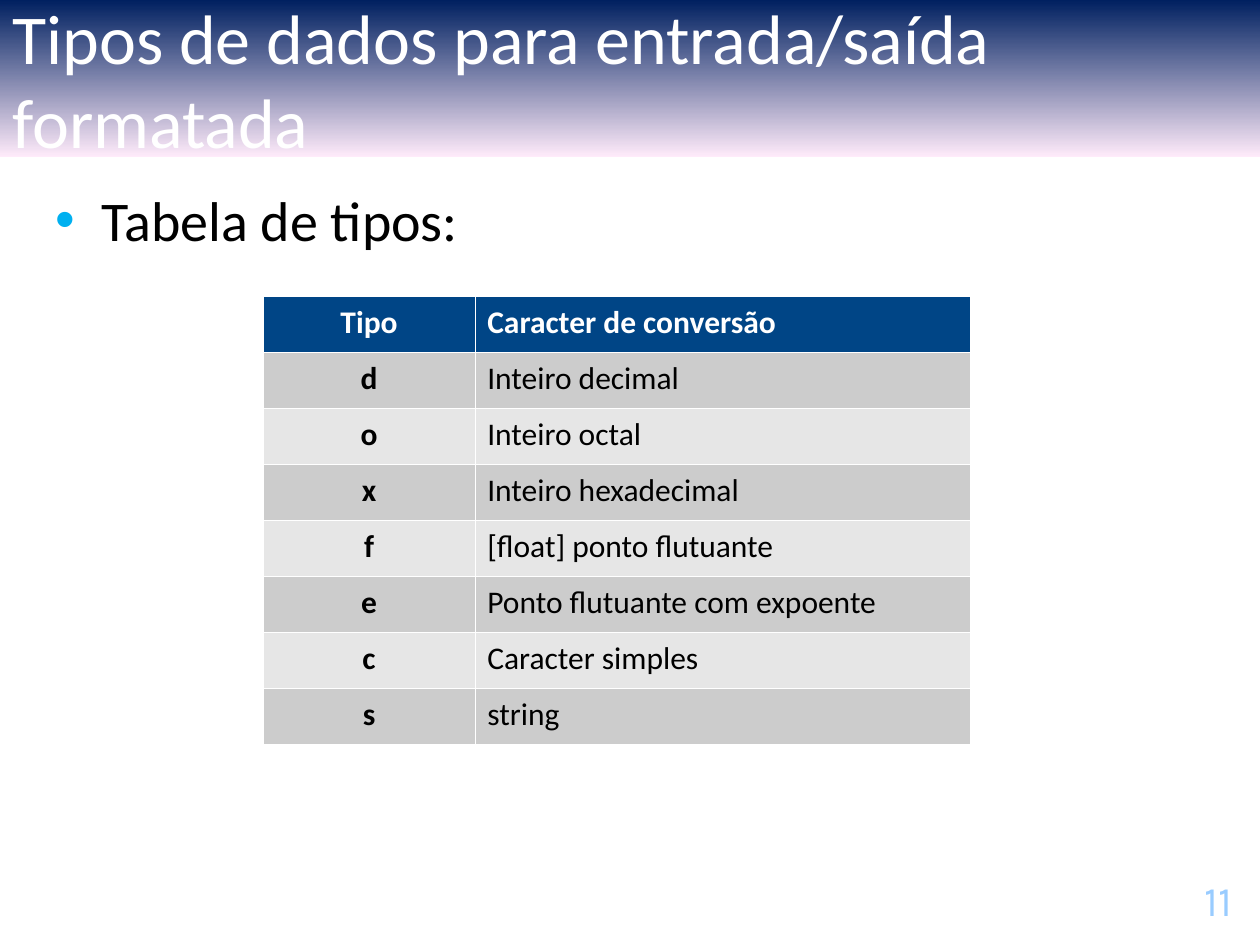
from dataclasses import dataclass

from pptx import Presentation, util as u
from pptx.dml.color import RGBColor
from pptx.enum import shapes, text
from pptx.oxml import parse_xml
from pptx.oxml.ns import nsdecls

# Content
TITLE = "Tipos de dados para entrada/saída formatada"
BULLET = "Tabela de tipos:"
PAGE_NUMBER = "11"
TYPE_ROWS = [
    ("Tipo", "Caracter de conversão"),
    ("d", "Inteiro decimal"),
    ("o", "Inteiro octal"),
    ("x", "Inteiro hexadecimal"),
    ("f", "[float] ponto flutuante"),
    ("e", "Ponto flutuante com expoente"),
    ("c", "Caracter simples"),
    ("s", "string"),
]
COLUMN_WIDTHS = (u.Cm(4.26), u.Cm(9.98))
ROW_HEIGHT = u.Cm(1.13)


@dataclass(frozen=True)
class Theme:
    font: str = "Calibri"
    number_font: str = "Karla"
    title_size: int = 40
    body_size: int = 32
    number_size: int = 24
    table_size: int = 18
    white: str = "FFFFFF"
    black: str = "000000"
    number: str = "99CCFF"
    bullet: str = "00B0F0"
    title_bottom: str = "FFEBFA"
    title_top: str = "002060"
    header: str = "004586"
    bands: tuple = ("CCCCCC", "E6E6E6")
    border_width: float = 0.06


THEME = Theme()


def add_run(paragraph, words, size, color, font=THEME.font, bold=False):
    run = paragraph.add_run()
    run.text = words
    run.font.name = font
    run.font.size = u.Pt(size)
    run.font.bold = bold
    run.font.color.rgb = RGBColor.from_string(color)


def add_bullet(paragraph, indent):
    properties = paragraph._p.get_or_add_pPr()
    properties.set("marL", str(indent))
    properties.set("indent", str(-indent))
    for markup in (
        f'<a:buClr {nsdecls("a")}><a:srgbClr val="{THEME.bullet}"/></a:buClr>',
        f'<a:buFont {nsdecls("a")} typeface="Arial"/>',
        f'<a:buChar {nsdecls("a")} char="•"/>',
    ):
        properties.append(parse_xml(markup))


def add_borders(cell):
    properties = cell._tc.get_or_add_tcPr()
    for side in ("lnL", "lnR", "lnT", "lnB"):
        properties.append(parse_xml(
            f'<a:{side} {nsdecls("a")} w="{u.Pt(THEME.border_width)}"><a:solidFill>'
            f'<a:srgbClr val="{THEME.white}"/></a:solidFill></a:{side}>'))


def add_page_number(slide):
    shape = slide.shapes.add_textbox(u.Cm(22.43), u.Cm(17.5), u.Cm(4.27), u.Cm(1.32))
    shape.text_frame.word_wrap = False
    paragraph = shape.text_frame.paragraphs[0]
    paragraph.alignment = text.PP_ALIGN.CENTER
    add_run(paragraph, PAGE_NUMBER, THEME.number_size, THEME.number, THEME.number_font)


def add_title(slide, width):
    shape = slide.shapes.add_shape(
        shapes.MSO_SHAPE.RECTANGLE, 0, 0, width, u.Cm(3.17))
    shape.shadow.inherit = False
    shape.line.fill.background()
    shape.fill.gradient()
    shape.fill.gradient_angle = 90
    colors = (THEME.title_bottom, THEME.title_top)
    for stop, position, color in zip(shape.fill.gradient_stops, (0, 1), colors):
        stop.position = position
        stop.color.rgb = RGBColor.from_string(color)
    frame = shape.text_frame
    frame.word_wrap = True
    frame.vertical_anchor = text.MSO_ANCHOR.MIDDLE
    paragraph = frame.paragraphs[0]
    paragraph.alignment = text.PP_ALIGN.LEFT
    add_run(paragraph, TITLE, THEME.title_size, THEME.white)


def add_body(slide):
    shape = slide.shapes.add_textbox(u.Cm(0.86), u.Cm(3.61), u.Cm(24.13), u.Cm(14.4))
    shape.text_frame.word_wrap = True
    paragraph = shape.text_frame.paragraphs[0]
    add_bullet(paragraph, u.Cm(0.94))
    add_run(paragraph, BULLET, THEME.body_size, THEME.black)


def add_type_table(slide):
    table = slide.shapes.add_table(
        len(TYPE_ROWS), len(COLUMN_WIDTHS), u.Cm(5.31), u.Cm(5.97),
        sum(COLUMN_WIDTHS), ROW_HEIGHT * len(TYPE_ROWS)).table
    for column, width in zip(table.columns, COLUMN_WIDTHS):
        column.width = width
    for row_index, row in enumerate(TYPE_ROWS):
        table.rows[row_index].height = ROW_HEIGHT
        is_header = row_index == 0
        fill = THEME.header if is_header else THEME.bands[(row_index - 1) % 2]
        color = THEME.white if is_header else THEME.black
        for column_index, words in enumerate(row):
            is_key = column_index == 0
            cell = table.cell(row_index, column_index)
            add_borders(cell)
            cell.fill.solid()
            cell.fill.fore_color.rgb = RGBColor.from_string(fill)
            paragraph = cell.text_frame.paragraphs[0]
            paragraph.alignment = text.PP_ALIGN.CENTER if is_key else text.PP_ALIGN.LEFT
            paragraph.line_spacing = 1.02
            add_run(paragraph, words, THEME.table_size, color, bold=is_header or is_key)


def main():
    presentation = Presentation()
    presentation.slide_width = u.Cm(25.4)
    presentation.slide_height = u.Cm(19.05)
    slide = presentation.slides.add_slide(presentation.slide_layouts[6])
    add_page_number(slide)
    add_title(slide, presentation.slide_width)
    add_body(slide)
    add_type_table(slide)
    presentation.save("out.pptx")


if __name__ == "__main__":
    main()
